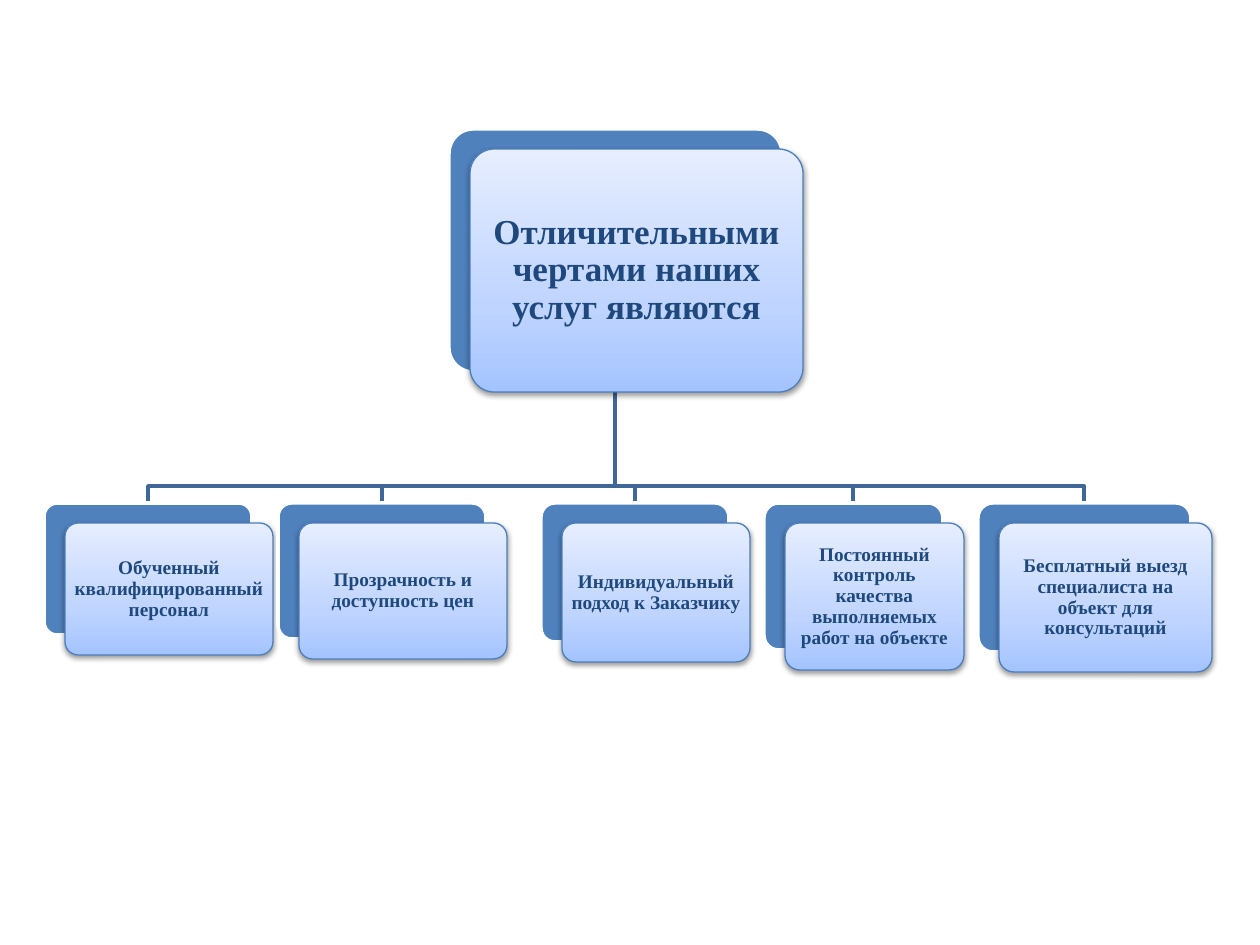
from copy import deepcopy
from dataclasses import dataclass

from lxml import etree
from pptx import Presentation
from pptx.dml.color import RGBColor
from pptx.enum.shapes import MSO_SHAPE
from pptx.enum.text import MSO_ANCHOR, PP_ALIGN
from pptx.oxml.ns import qn
from pptx.util import Emu, Pt

ROUNDED = MSO_SHAPE.ROUNDED_RECTANGLE
MIDDLE = MSO_ANCHOR.MIDDLE
CENTER = PP_ALIGN.CENTER

EMU_PER_PX = 914400 / 126
SLIDE_SIZE = (1260, 945)
BLANK_LAYOUT = 6

CARD_OFFSET = (21, 20)
BRANCH_TOP = 503
BAR_Y = 486

ROOT_TEXT = "Отличительными чертами наших услуг являются"
ROOT_BOX = (449, 129, 333, 243)

# Text, left, width and height of each branch
BRANCHES = [
    ("Обученный квалифицированный персонал", 44, 208, 132),
    ("Прозрачность и доступность цен", 278, 208, 136),
    ("Индивидуальный подход к Заказчику", 541, 188, 139),
    ("Постоянный контроль качества выполняемых работ на объекте", 764, 179, 147),
    ("Бесплатный выезд специалиста на объект для консультаций", 978, 213, 149),
]


@dataclass(frozen=True)
class Theme:
    font: str = "Times New Roman"
    text: str = "1F497D"
    plate: str = "4F81BD"
    plate_edge: str = "FFFFFF"
    card_edge: str = "4B7EBC"
    connector: str = "3F6797"
    card_stops: tuple = ((0, "A4C4FF"), (0.35, "BFD4FF"), (1, "E6EEFF"))
    root_size: int = 20
    branch_size: int = 11
    heavy_line: float = 2
    fine_line: float = 0.75


THEME = Theme()


def px(value):
    return Emu(round(value * EMU_PER_PX))


def set_all(target, values):
    for name, value in values.items():
        setattr(target, name, value)


def set_line(shape, color, width):
    shape.line.color.rgb = RGBColor.from_string(color)
    shape.line.width = Pt(width)


def add_rounded(shapes, box, edge, edge_width):
    shape = shapes.add_shape(ROUNDED, *map(px, box))
    shape.adjustments[0] = 0.1
    shape.shadow.inherit = False
    set_line(shape, edge, edge_width)
    return shape


def fill_gradient(shape, stops):
    """Fill with three color stops running from bottom to top."""
    shape.fill.gradient()
    shape.fill.gradient_angle = 90
    stop_list = shape.element.spPr.find(qn("a:gradFill")).find(qn("a:gsLst"))
    stop_list.insert(1, deepcopy(stop_list[0]))
    for stop, (position, color) in zip(shape.fill.gradient_stops, stops):
        stop.position = position
        stop.color.rgb = RGBColor.from_string(color)


def add_soft_shadow(shape):
    effects = shape.element.spPr.find(qn("a:effectLst"))
    shadow = etree.SubElement(
        effects, qn("a:outerShdw"), blurRad=str(Pt(3.1)), dist=str(Pt(1.6)),
        dir="5400000", rotWithShape="0")
    color = etree.SubElement(shadow, qn("a:srgbClr"), val="000000")
    etree.SubElement(color, qn("a:alpha"), val="38000")


def write_label(shape, text, size, inset):
    frame = shape.text_frame
    margins = ("margin_left", "margin_top", "margin_right", "margin_bottom")
    set_all(frame, dict.fromkeys(margins, px(inset)))
    set_all(frame, {"word_wrap": True, "vertical_anchor": MIDDLE})
    paragraph = frame.paragraphs[0]
    set_all(paragraph, {"alignment": CENTER, "line_spacing": 0.9})
    run = paragraph.add_run()
    run.text = text
    set_all(run.font, {"name": THEME.font, "size": Pt(size), "bold": True})
    run.font.color.rgb = RGBColor.from_string(THEME.text)


def add_node(shapes, text, box, size, inset):
    """Add a plain back plate and the labelled card shifted in front of it."""
    plate = add_rounded(shapes, box, THEME.plate_edge, THEME.heavy_line)
    plate.fill.solid()
    plate.fill.fore_color.rgb = RGBColor.from_string(THEME.plate)

    left, top, width, height = box
    card_box = (left + CARD_OFFSET[0], top + CARD_OFFSET[1], width, height)
    card = add_rounded(shapes, card_box, THEME.card_edge, THEME.fine_line)
    fill_gradient(card, THEME.card_stops)
    add_soft_shadow(card)
    write_label(card, text, size, inset)


def add_elbow(shapes, start, end):
    """Add a line that goes down, across at the bar height, and down again."""
    builder = shapes.build_freeform(*start, scale=EMU_PER_PX)
    builder.add_line_segments(
        [(start[0], BAR_Y), (end[0], BAR_Y), end], close=False)
    elbow = builder.convert_to_shape()
    elbow.fill.background()
    elbow.shadow.inherit = False
    set_line(elbow, THEME.connector, THEME.heavy_line)


def main():
    presentation = Presentation()
    presentation.slide_width, presentation.slide_height = map(px, SLIDE_SIZE)
    slide = presentation.slides.add_slide(
        presentation.slide_layouts[BLANK_LAYOUT])
    chart = slide.shapes.add_group_shape().shapes

    root_left, root_top, root_width, root_height = ROOT_BOX
    root_foot = (root_left + root_width // 2, root_top + root_height)
    for _, left, width, _ in reversed(BRANCHES):
        add_elbow(chart, root_foot, (left + width // 2, BRANCH_TOP))

    add_node(chart, ROOT_TEXT, ROOT_BOX, THEME.root_size, inset=10)
    for text, left, width, height in BRANCHES:
        box = (left, BRANCH_TOP, width, height)
        add_node(chart, text, box, THEME.branch_size, inset=5)

    presentation.save("out.pptx")


if __name__ == "__main__":
    main()
